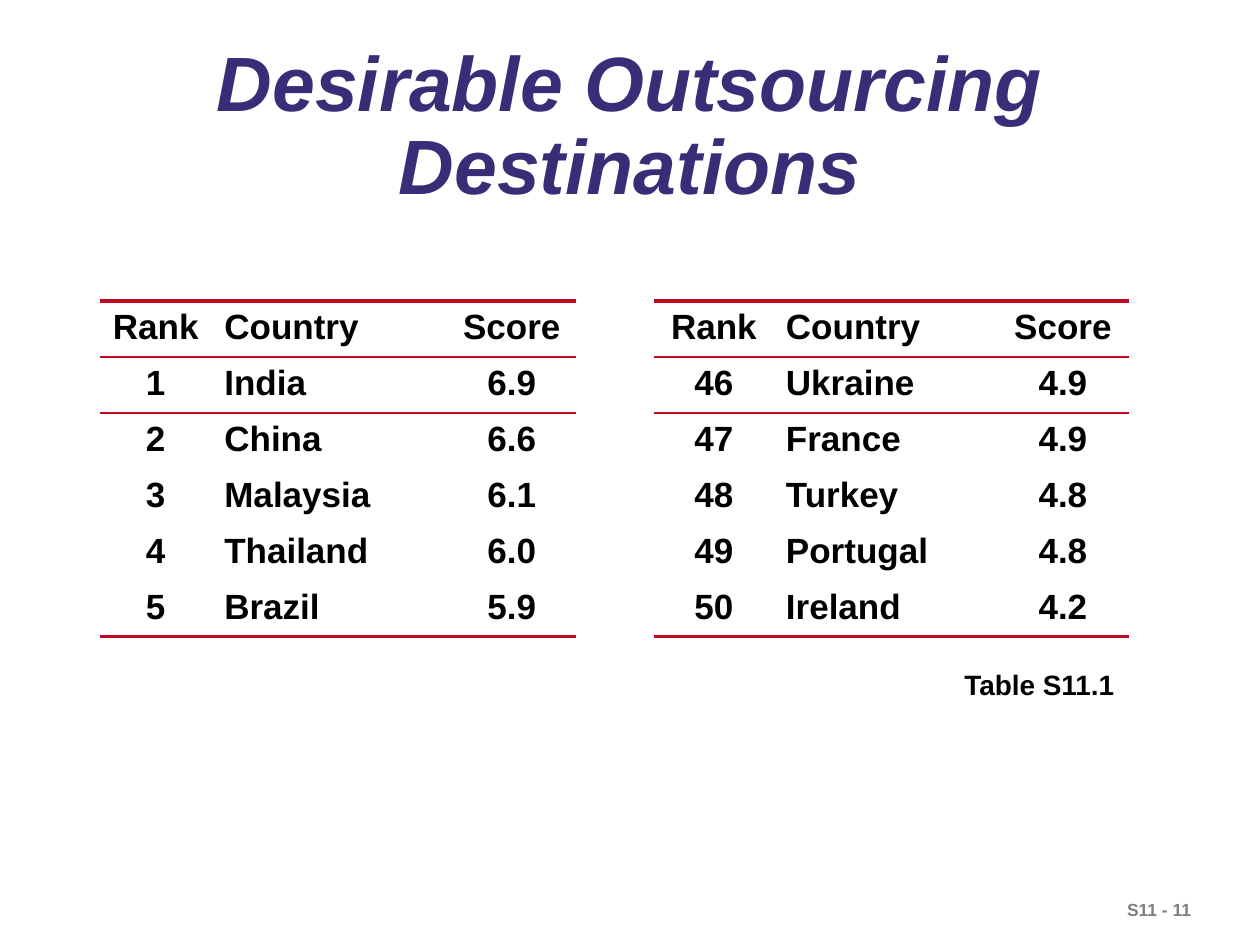
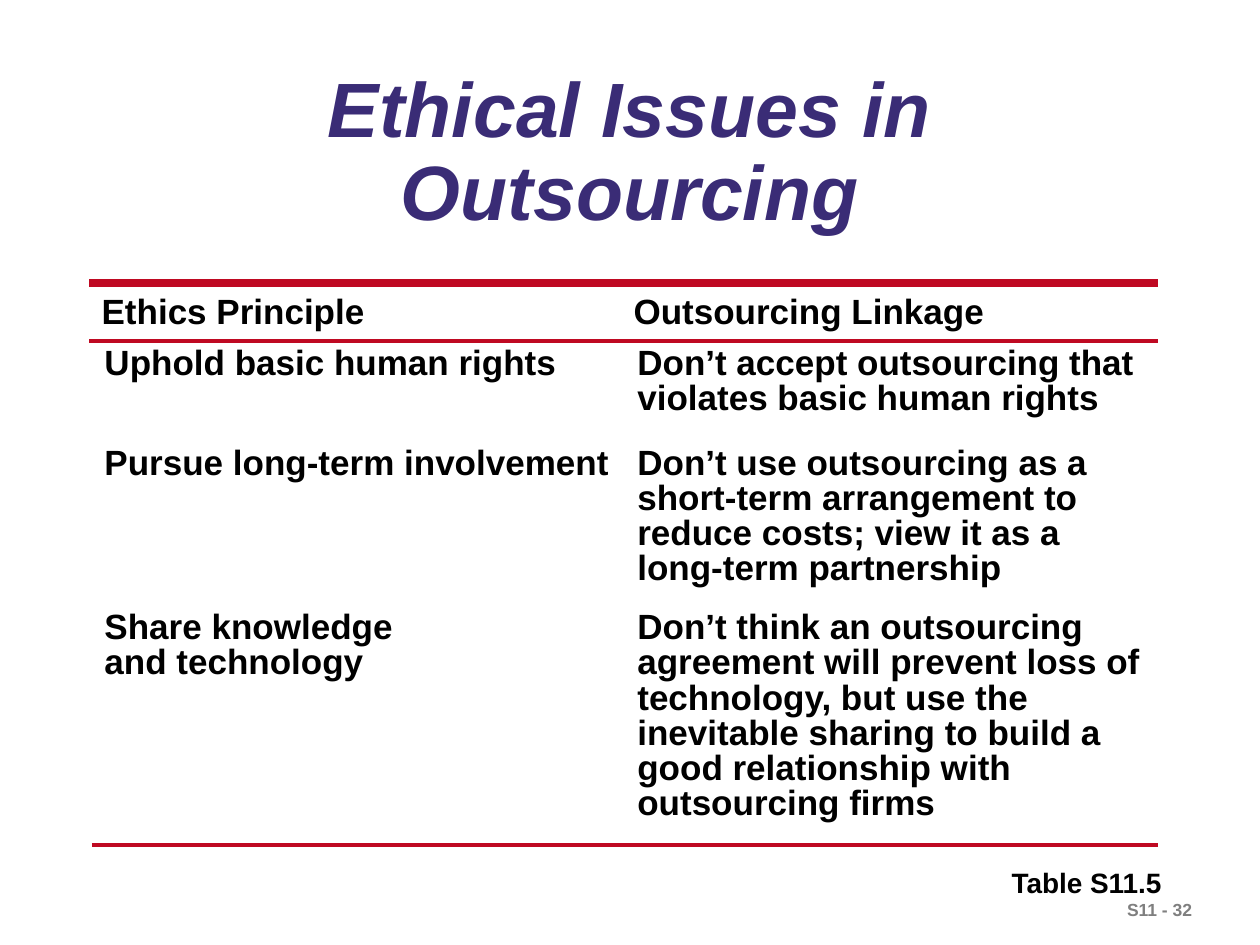
from lxml.etree import SubElement
from pptx import Presentation
from pptx.dml.color import RGBColor
from pptx.enum.shapes import MSO_CONNECTOR
from pptx.enum.text import MSO_ANCHOR, PP_ALIGN
from pptx.oxml.ns import qn
from pptx.util import Pt

RED = RGBColor(0xBF, 0x09, 0x22)
PURPLE = RGBColor(0x3A, 0x2C, 0x76)
GRAY = RGBColor(0x7F, 0x7F, 0x7F)
BLACK = RGBColor(0, 0, 0)
PLAIN = "{2D5ABB26-0587-4C30-8999-92F81FD0307C}"
THICK, THIN = 2.21, 1.08

RANKS = [
    ["Rank", "Country", "Score", "", "Rank", "Country", "Score"],
    ["1", "India", "6.9", "", "46", "Ukraine", "4.9"],
    ["2", "China", "6.6", "", "47", "France", "4.9"],
    ["3", "Malaysia", "6.1", "", "48", "Turkey", "4.8"],
    ["4", "Thailand", "6.0", "", "49", "Portugal", "4.8"],
    ["5", "Brazil", "5.9", "", "50", "Ireland", "4.2"],
]
ETHICS = [
    ["Uphold basic human rights",
     "Don’t accept outsourcing that violates basic human rights"],
    ["Pursue long-term involvement",
     "Don’t use outsourcing as a short-term arrangement to reduce costs; "
     "view it as a long-term partnership"],
    ["Share knowledge\vand technology",
     "Don’t think an outsourcing agreement will prevent loss of technology, "
     "but use the inevitable sharing to build a good relationship with "
     "outsourcing firms"],
]


class Deck:
    """Hold the shared style and the slide being built."""

    def __init__(self):
        self.prs = Presentation()
        self.prs.slide_width, self.prs.slide_height = Pt(720), Pt(540)

    def start(self, title, top, height, page):
        self.slide = self.prs.slides.add_slide(self.prs.slide_layouts[6])
        self.text(page, 637, 510, 89, 19, 10, GRAY)
        para = self.text(title, 54, top, 612, height, 44, PURPLE, MSO_ANCHOR.MIDDLE)
        para.alignment, para.line_spacing = PP_ALIGN.CENTER, 0.9
        para.font.italic = True

    def style(self, para, size, color=BLACK):
        font = para.font
        font.name, font.size, font.bold = "Arial", Pt(size), True
        font.color.rgb = color

    def text(self, words, left, top, width, height, size, color=BLACK,
             anchor=MSO_ANCHOR.TOP, tab=None):
        box = self.slide.shapes.add_textbox(Pt(left), Pt(top), Pt(width), Pt(height))
        frame = box.text_frame
        frame.word_wrap, frame.vertical_anchor = True, anchor
        para = frame.paragraphs[0]
        para.text = words
        if tab:
            tabs = SubElement(para._p.get_or_add_pPr(), qn("a:tabLst"))
            SubElement(tabs, qn("a:tab"), pos=str(Pt(tab)), algn="l")
        self.style(para, size, color)
        return para

    def rule(self, left, right, top, width):
        line = self.slide.shapes.add_connector(
            MSO_CONNECTOR.STRAIGHT, Pt(left), Pt(top), Pt(right), Pt(top))
        line.line.color.rgb, line.line.width = RED, Pt(width)
        SubElement(line._element.spPr, qn("a:effectLst"))

    def edge(self, cell, side, width):
        line = SubElement(cell._tc.get_or_add_tcPr(), qn(f"a:ln{side}"), w=str(Pt(width)))
        fill = SubElement(line, qn("a:solidFill"))
        SubElement(fill, qn("a:srgbClr"), val=str(RED))

    def table(self, rows, left, top, widths, heights, edges, anchor, mid=()):
        frame = self.slide.shapes.add_table(
            len(rows), len(widths), Pt(left), Pt(top), Pt(sum(widths)), Pt(sum(heights)))
        grid = frame.table
        grid.first_row = grid.horz_banding = False
        grid._tbl.tblPr.find(qn("a:tableStyleId")).text = PLAIN
        for col, width in zip(grid.columns, widths):
            col.width = Pt(width)
        for row, height in zip(grid.rows, heights):
            row.height = Pt(height)
        for r, row in enumerate(rows):
            for c, words in enumerate(row):
                cell = grid.cell(r, c)
                cell.vertical_anchor = anchor
                if words:
                    for side, width in edges.get(r, {}).items():
                        self.edge(cell, side, width)
                cell.fill.background()
                para = cell.text_frame.paragraphs[0]
                para.text = words
                para.line_spacing, para.space_after = 0.9, Pt(10)
                para.alignment = PP_ALIGN.CENTER if c in mid else PP_ALIGN.LEFT
                self.style(para, 20)


def main():
    deck = Deck()

    deck.start("Desirable Outsourcing Destinations", 16.5, 113, "S11 - 11")
    edges = {0: {"T": THICK, "B": THIN}, 1: {"T": THIN}, 5: {"B": THICK}}
    deck.table(RANKS, 57, 172, [64, 135, 73, 45, 68, 128, 75], [32] * 6,
               edges, MSO_ANCHOR.MIDDLE, mid=(0, 2, 4, 6))
    deck.text("Table S11.1", 544, 378, 103, 27, 16)

    deck.start("Ethical Issues in Outsourcing", 26.5, 123, "S11 - 32")
    deck.table(ETHICS, 52.5, 195, [304.5, 304.5], [57, 94, 137],
               {2: {"B": THICK}}, MSO_ANCHOR.TOP)
    deck.text("Ethics Principle\tOutsourcing Linkage", 51, 162, 540, 32, 20, tab=304)
    deck.rule(51, 662, 161.5, 4.5)
    deck.rule(51, 662, 195, 2.25)
    deck.text("Table S11.5", 571, 491, 103, 27, 16)

    deck.prs.save("out.pptx")


if __name__ == "__main__":
    main()
